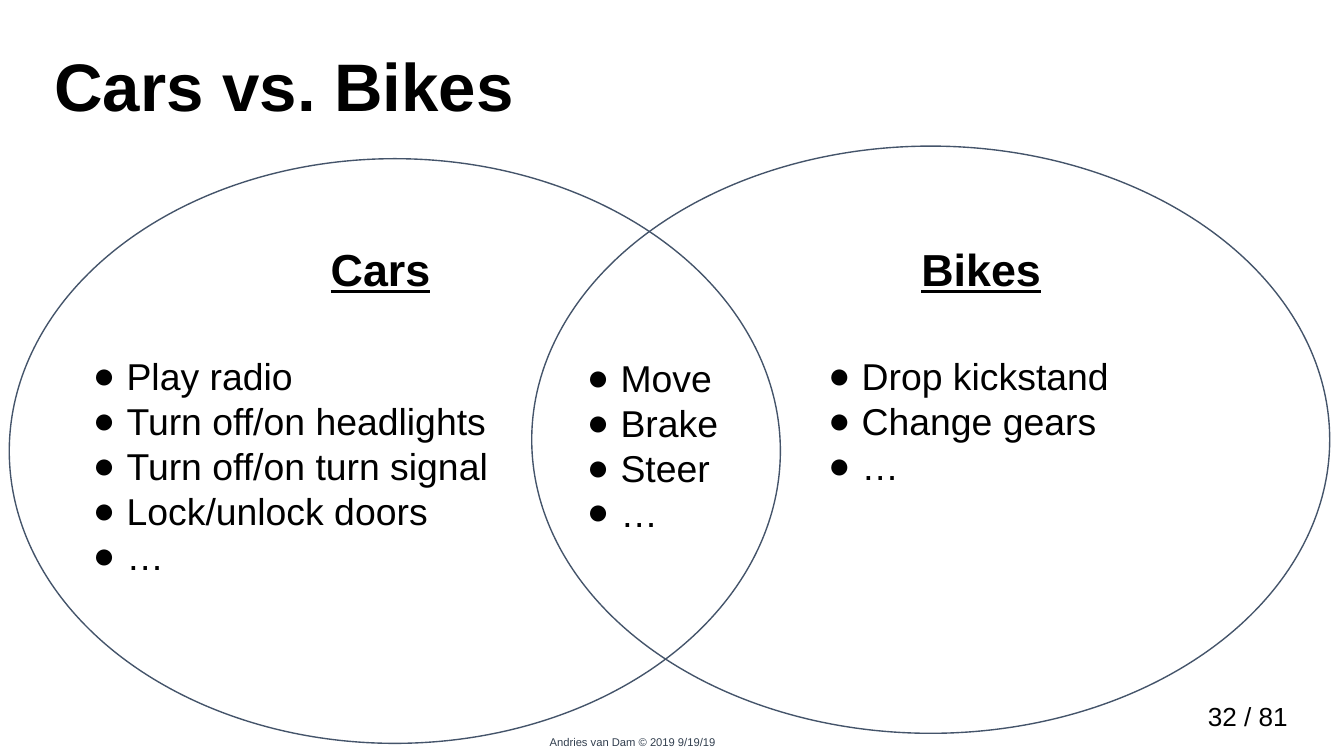
from lxml.etree import SubElement
from pptx import Presentation
from pptx.dml.color import RGBColor
from pptx.enum.shapes import MSO_SHAPE
from pptx.enum.text import MSO_ANCHOR, PP_ALIGN
from pptx.oxml.ns import qn
from pptx.util import Pt

PX = 5715  # 160 px to the inch: the slide is 1600 by 900 px
COLORS = {"text": "000000", "outline": "44546A", "footer": "323F4F"}


def add_text(slide, box, lines, size, color="text", inset=16,
             paragraph_format=None, **font_format):
    shape = slide.shapes.add_textbox(*(value * PX for value in box))
    frame = shape.text_frame
    frame_format = {
        "word_wrap": True, "vertical_anchor": MSO_ANCHOR.TOP,
        "margin_left": 16 * PX, "margin_right": 16 * PX,
        "margin_top": inset * PX, "margin_bottom": inset * PX,
    }
    for name, value in frame_format.items():
        setattr(frame, name, value)
    frame.text = "\n".join(lines)
    for paragraph in frame.paragraphs:
        for name, value in (paragraph_format or {}).items():
            setattr(paragraph, name, value)
        font = paragraph.runs[0].font
        font.color.rgb = RGBColor.from_string(COLORS[color])
        for name, value in {"name": "Arial", "size": Pt(size), **font_format}.items():
            setattr(font, name, value)
    return frame


def add_bullet(paragraph):
    properties = paragraph._p.get_or_add_pPr()
    properties.set("marL", str(80 * PX))
    properties.set("indent", str(-40 * PX))
    bullet_color = SubElement(properties, qn("a:buClr"))
    SubElement(bullet_color, qn("a:srgbClr"), val=COLORS["text"])
    SubElement(properties, qn("a:buFont"), typeface="Arial")
    SubElement(properties, qn("a:buChar"), char="●")


presentation = Presentation()
presentation.slide_width = 1600 * PX
presentation.slide_height = 900 * PX
slide = presentation.slides.add_slide(presentation.slide_layouts[6])

# Footer
add_text(slide, (533, 868, 440, 70), ["Andries van Dam © 2019 9/19/19"], 6,
         color="footer", inset=8, paragraph_format={"alignment": PP_ALIGN.CENTER})

# Title
add_text(slide, (49, 48, 1501, 109), ["Cars vs. Bikes"], 36,
         paragraph_format={"line_spacing": 0.9}, bold=True)

# Overlapping circles: bikes, then cars
for box in [(633, 174, 950, 699), (11, 189, 918, 696)]:
    ellipse = slide.shapes.add_shape(MSO_SHAPE.OVAL, *(value * PX for value in box))
    ellipse.shadow.inherit = False
    ellipse.fill.background()
    ellipse.line.color.rgb = RGBColor.from_string(COLORS["outline"])
    ellipse.line.width = Pt(0.75)

# Circle headings
for left, heading in [(274, "Cars"), (989, "Bikes")]:
    add_text(slide, (left, 272, 358, 106), [heading], 24,
             paragraph_format={"alignment": PP_ALIGN.CENTER}, bold=True, underline=True)

# Capabilities: cars only, shared, bikes only
capabilities = [
    ((55, 405, 578, 322), ["Play radio", "Turn off/on headlights",
                           "Turn off/on turn signal", "Lock/unlock doors", "…"]),
    ((643, 407, 261, 101), ["Move", "Brake", "Steer", "…"]),
    ((930, 405, 458, 142), ["Drop kickstand", "Change gears", "…"]),
]
for box, lines in capabilities:
    for paragraph in add_text(slide, box, lines, 20).paragraphs:
        add_bullet(paragraph)

# Page number
add_text(slide, (1189, 826, 360, 48), ["32 / 81"], 14, inset=8,
         paragraph_format={"alignment": PP_ALIGN.RIGHT})

presentation.save("out.pptx")
